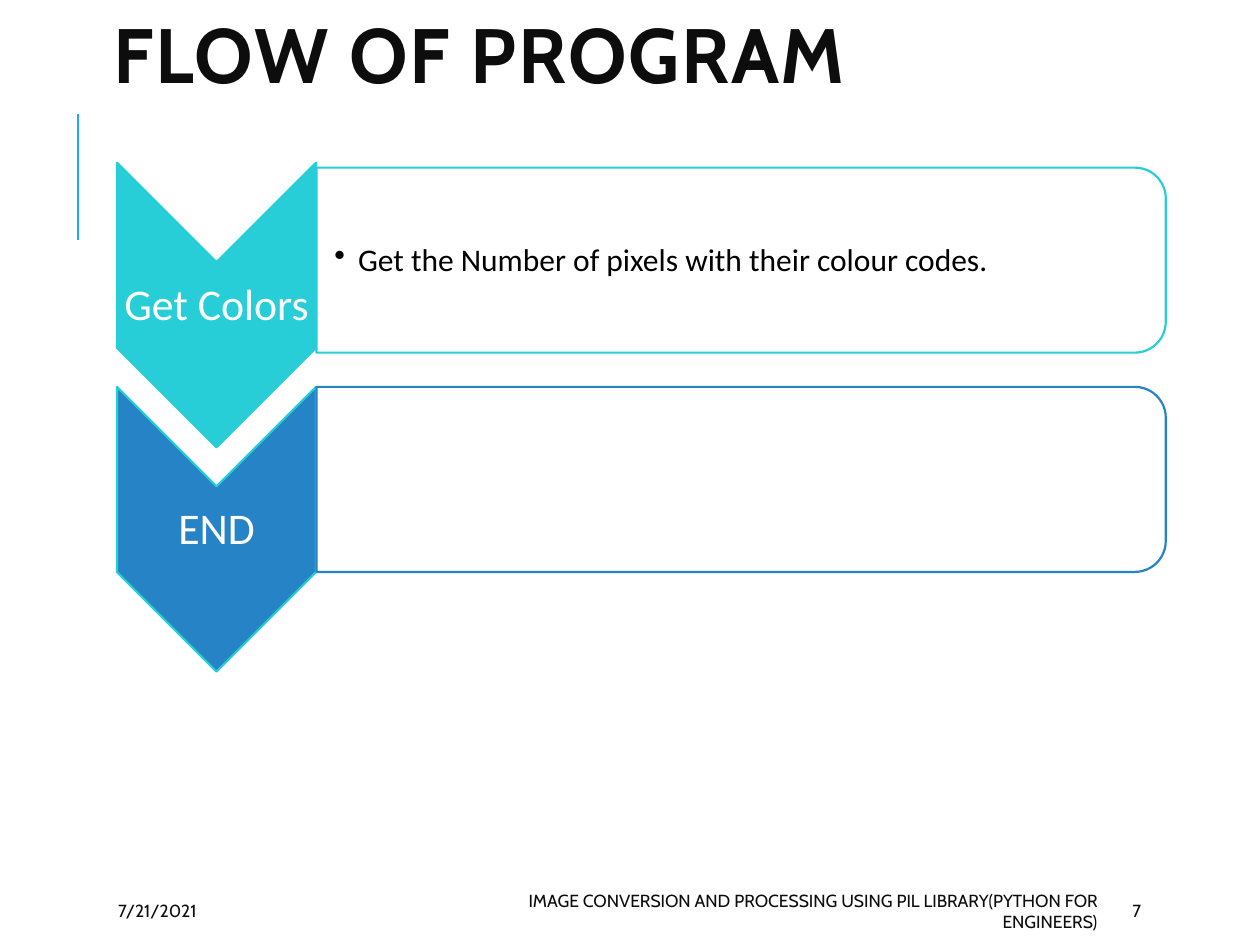
from lxml import etree
from pptx import Presentation
from pptx import util as u
from pptx.dml.color import RGBColor
from pptx.enum import shapes, text
from pptx.oxml.ns import qn

Cm, Pt = u.Cm, u.Pt
INK = RGBColor(0x0D, 0x0D, 0x0D)
BLACK = RGBColor(0, 0, 0)
WHITE = RGBColor(0xFF, 0xFF, 0xFF)
TEAL = RGBColor(0x27, 0xCE, 0xD7)
BLUE = RGBColor(0x26, 0x83, 0xC6)
ACCENT = RGBColor(0x1C, 0xAD, 0xE4)

# Content
TITLE = "FLOW OF PROGRAM"
STEPS = [  # label, detail, colour, chevron top, panel top (cm)
    ("Get Colors ", "Get the Number of pixels with their colour codes.", TEAL, 3.28, 3.38),
    ("END", "", BLUE, 7.8, 7.8),
]
FOOTERS = [  # text, left, width (cm), alignment
    ("7/21/2021", 2.13, 4.5, text.PP_ALIGN.LEFT),
    ("IMAGE CONVERSION AND PROCESSING USING PIL LIBRARY(PYTHON FOR ENGINEERS)",
     10.08, 12.29, text.PP_ALIGN.RIGHT),
    ("7", 22.58, 2.03, text.PP_ALIGN.LEFT),
]

# Text formats
TITLE_FONT = dict(name="Cabin", size=Pt(44), bold=True)
LABEL_FONT = dict(name="Calibri", size=Pt(25))
DETAIL_FONT = dict(name="Calibri", size=Pt(18))
FOOTER_FONT = dict(name="Cabin", size=Pt(10))

# Step geometry (cm)
CHEVRON_LEFT, CHEVRON_WIDTH, CHEVRON_HEIGHT = 2.36, 4.01, 5.74
PANEL_LEFT, PANEL_WIDTH, PANEL_HEIGHT = 6.38, 17.12, 3.73

presentation = Presentation()
presentation.slide_width, presentation.slide_height = Cm(25.4), Cm(19.05)
slide = presentation.slides.add_slide(presentation.slide_layouts[6])


def add_text(content, box, font, color, margins=(0.25, 0.13, 0.25, 0.13), **paragraph_format):
    shape = slide.shapes.add_textbox(*map(Cm, box))
    frame = shape.text_frame
    frame.word_wrap = True
    frame.vertical_anchor = text.MSO_ANCHOR.MIDDLE
    for side, margin in zip(("left", "top", "right", "bottom"), margins):
        setattr(frame, f"margin_{side}", Cm(margin))
    paragraph = frame.paragraphs[0]
    for key, value in paragraph_format.items():
        setattr(paragraph, key, value)
    run = paragraph.add_run()
    run.text = content
    for key, value in font.items():
        setattr(run.font, key, value)
    run.font.color.rgb = color
    return paragraph


def add_turned_shape(kind, left, top, width, height, fill, line):
    """Place a shape turned by 90 degrees so that it covers the given box."""
    shift = (width - height) / 2
    shape = slide.shapes.add_shape(
        kind, Cm(left + shift), Cm(top - shift), Cm(height), Cm(width))
    shape.rotation = 90
    shape.shadow.inherit = False
    shape.fill.solid()
    shape.fill.fore_color.rgb = fill
    shape.line.color.rgb = line
    shape.line.width = Pt(1.25)
    return shape


# Accent line
accent = slide.shapes.add_connector(
    shapes.MSO_CONNECTOR.STRAIGHT, Cm(1.57), Cm(4.83), Cm(1.57), Cm(2.29))
accent.line.color.rgb = ACCENT
accent.line.width = Pt(1.5)
etree.SubElement(accent._element.spPr, qn("a:effectLst"))

# Title
title = add_text(TITLE, (1.27, -0.36, 22.86, 3.18), TITLE_FONT, INK,
                 margins=(1.02, 0.13, 0.25, 0.13), line_spacing=0.8)
title.runs[0].font._element.set("spc", "100")

# Steps: chevron with label, panel with detail
for label, detail, color, chevron_top, panel_top in STEPS:
    add_turned_shape(shapes.MSO_SHAPE.CHEVRON, CHEVRON_LEFT, chevron_top,
                     CHEVRON_WIDTH, CHEVRON_HEIGHT, color, TEAL)
    add_text(label, (CHEVRON_LEFT, chevron_top + 2.03, CHEVRON_WIDTH, 1.73),
             LABEL_FONT, WHITE, margins=(0.05,) * 4,
             alignment=text.PP_ALIGN.CENTER, line_spacing=0.9)
    panel = add_turned_shape(shapes.MSO_SHAPE.ROUND_2_SAME_RECTANGLE, PANEL_LEFT, panel_top,
                             PANEL_WIDTH, PANEL_HEIGHT, WHITE, color)
    panel_color = panel.fill._xPr.find(qn("a:solidFill"))[0]
    etree.SubElement(panel_color, qn("a:alpha")).set("val", "90000")
    if detail:
        paragraph = add_text(detail, (PANEL_LEFT, panel_top + 0.2, 16.94, 3.38),
                             DETAIL_FONT, BLACK, margins=(0.36, 0.03, 0.03, 0.03),
                             line_spacing=0.9, level=1)
        properties = paragraph._p.get_or_add_pPr()
        properties.set("marL", str(Cm(0.48)))
        properties.set("indent", str(-Cm(0.48)))
        etree.SubElement(properties, qn("a:buChar")).set("char", "•")

# Footer
for content, left, width, alignment in FOOTERS:
    add_text(content, (left, 17.98, width, 0.76), FOOTER_FONT, INK, alignment=alignment)

presentation.save("out.pptx")
